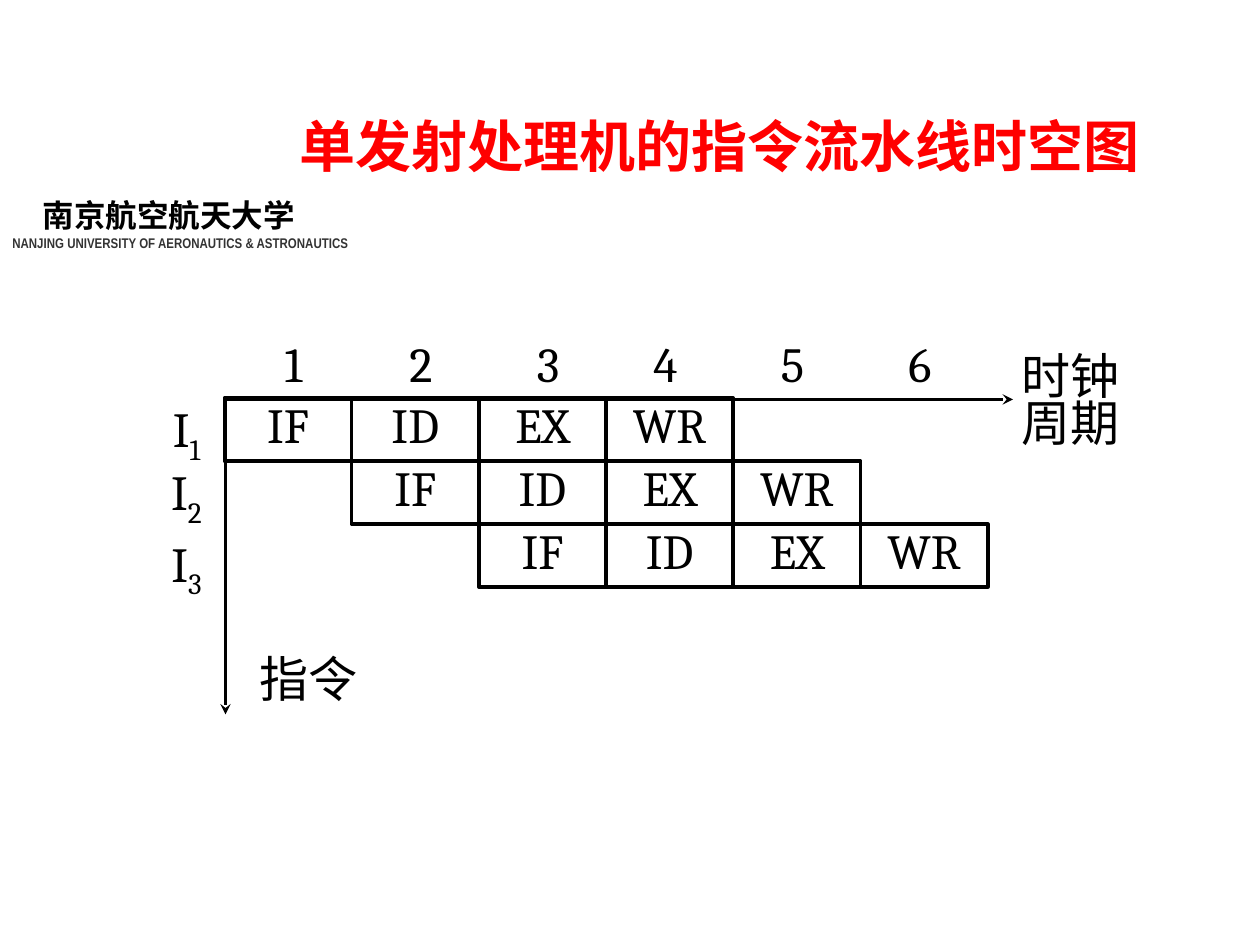
from pptx import Presentation
from pptx.dml.color import RGBColor
from pptx.enum.shapes import MSO_CONNECTOR as LINE, MSO_SHAPE as SHAPE
from pptx.enum.text import MSO_ANCHOR as ANCHOR, MSO_AUTO_SIZE as FIT, PP_ALIGN as ALIGN
from pptx.oxml.ns import qn
from pptx.util import Inches, Pt
from lxml.etree import SubElement

BLACK = RGBColor(0x00, 0x00, 0x00)
GREY = RGBColor(0x33, 0x33, 0x33)
RED = RGBColor(0xFF, 0x00, 0x00)

STAGES = ["IF", "ID", "EX", "WR"]
LEFT, TOP = 1.78, 3.16
CELL_W, CELL_H = 1.01, 0.5
LABEL_W = 0.62


class Deck:
    font, size, stroke = "Cambria", 28, 2

    def __init__(self):
        self.prs = Presentation()
        self.prs.slide_width, self.prs.slide_height = Inches(10), Inches(7.5)
        self.slide = self.prs.slides.add_slide(self.prs.slide_layouts[5])
        self.shapes = self.slide.shapes

    def style(self, run, size, color=BLACK, bold=False, font=None):
        run.font.name = font or self.font
        run.font.size = Pt(size)
        run.font.color.rgb = color
        run.font.bold = bold

    def fill(self, shape, text, size=None, color=BLACK, bold=False):
        """Put centred, unwrapped text into a shape."""
        frame = shape.text_frame
        frame.text = text
        frame.auto_size = FIT.NONE
        frame.word_wrap = False
        frame.vertical_anchor = ANCHOR.MIDDLE
        frame.margin_left = frame.margin_right = Inches(0.08)
        frame.margin_top = frame.margin_bottom = Inches(0.04)
        par = frame.paragraphs[0]
        par.alignment = ALIGN.CENTER
        par.line_spacing = 0.8
        for run in par.runs:
            self.style(run, size or self.size, color, bold)
        return par

    def title(self, text, x, y, w, h):
        box = self.shapes.title
        box.left, box.top, box.width, box.height = map(Inches, (x, y, w, h))
        self.fill(box, text, 32, RED, True)

    def label(self, text, x, y, w=LABEL_W, h=CELL_H, sub=None):
        box = self.shapes.add_textbox(*map(Inches, (x, y, w, h)))
        par = self.fill(box, text)
        if sub:
            run = par.add_run()
            run.text = sub
            self.style(run, 29)
            run.font._element.set("baseline", "-25000")

    def cell(self, text, x, y):
        box = self.shapes.add_shape(
            SHAPE.RECTANGLE, *map(Inches, (x, y, CELL_W, CELL_H)))
        box.shadow.inherit = False
        box.fill.background()
        box.line.color.rgb = BLACK
        box.line.width = Pt(self.stroke)
        self.fill(box, text)

    def arrow(self, x1, y1, x2, y2):
        line = self.shapes.add_connector(
            LINE.STRAIGHT, *map(Inches, (x1, y1, x2, y2)))
        line.line.color.rgb = BLACK
        line.line.width = Pt(self.stroke)
        SubElement(line.line._get_or_add_ln(), qn("a:tailEnd"), type="stealth")
        SubElement(line._element.spPr, qn("a:effectLst"))

    def school(self, name, latin, x, y, w, h):
        frame = self.shapes.add_textbox(*map(Inches, (x, y, w, h))).text_frame
        frame.word_wrap = True
        frame.text = f"{name}\n{latin}"
        first, second = frame.paragraphs
        first._p.get_or_add_pPr().set("marL", str(Inches(0.24)))
        self.style(first.runs[0], 18, BLACK, True, "Arial")
        self.style(second.runs[0], 8, GREY, True, "Arial Narrow")


def main():
    deck = Deck()
    deck.school("南京航空航天大学",
                "NANJING UNIVERSITY OF AERONAUTICS & ASTRONAUTICS",
                0, 1.51, 3.03, 0.67)
    deck.title("单发射处理机的指令流水线时空图", 2.09, 0.91, 7.25, 0.58)

    # Each instruction starts one clock cycle after the one before it
    for row, y in enumerate([3.17, 3.67, 4.24]):
        deck.label("I", 1.17, y, sub=str(row + 1))
        for col, stage in enumerate(STAGES, row):
            deck.cell(stage, LEFT + col * CELL_W, TOP + row * CELL_H)

    for col in range(6):
        shift = 0.24 if col < 3 else 0.16
        deck.label(str(col + 1), LEFT + shift + col * CELL_W, 2.67)

    deck.arrow(1.79, 3.17, 8.04, 3.17)
    deck.arrow(1.79, 3.17, 1.79, 5.67)
    deck.label("时钟\v周期", 7.99, 2.81, CELL_W, 0.79)
    deck.label("指令", 1.94, 5.17, CELL_W)

    deck.prs.save("out.pptx")


if __name__ == "__main__":
    main()
